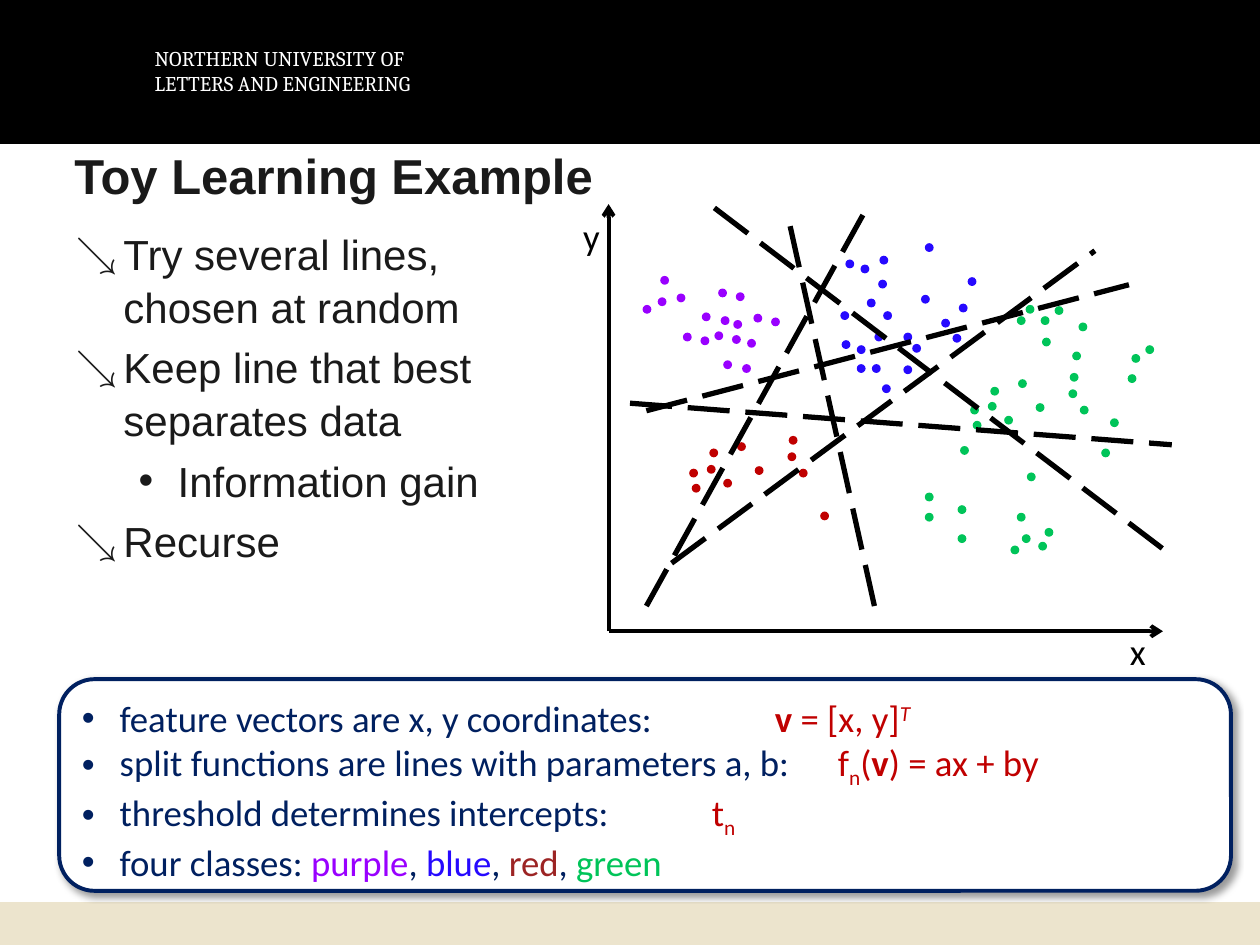
from pptx import Presentation
from pptx.dml.color import RGBColor
from pptx.enum.dml import MSO_LINE
from pptx.enum.shapes import MSO_CONNECTOR, MSO_SHAPE
from pptx.enum.text import MSO_ANCHOR, PP_ALIGN
from pptx.oxml import parse_xml
from pptx.oxml.ns import nsdecls, qn
from pptx.util import Inches, Pt

BLACK = RGBColor(0x00, 0x00, 0x00)
WHITE = RGBColor(0xFF, 0xFF, 0xFF)
SAND = RGBColor(0xEC, 0xE4, 0xCD)
INK = RGBColor(0x1A, 0x1A, 0x1A)
NAVY = RGBColor(0x00, 0x20, 0x60)
CRIMSON = RGBColor(0xC0, 0x00, 0x00)
BRICK = RGBColor(0x9C, 0x24, 0x24)
PURPLE = RGBColor(0x99, 0x00, 0xFF)
BLUE = RGBColor(0x26, 0x09, 0xFF)
GREEN = RGBColor(0x00, 0xC4, 0x59)

TITLE = "Toy Learning Example"
SCHOOL = ["NORTHERN UNIVERSITY OF", "LETTERS AND ENGINEERING"]
STEPS = [
    ("Try several lines, chosen at random", 0),
    ("Keep line that best separates data", 0),
    ("Information gain", 1),
    ("Recurse", 0),
]
STEP_STYLES = [("↘", 0.38, 0.38), ("•", 0.81, 0.31)]
FACTS = [
    [("feature vectors are x, y coordinates:\t\t", NAVY, ""), ("v ", CRIMSON, "bold"),
     ("= [x, y]", CRIMSON, ""), ("T", CRIMSON, "super")],
    [("split functions are lines with parameters a, b:\t", NAVY, ""), ("f", CRIMSON, ""),
     ("n", CRIMSON, "sub"), ("(", CRIMSON, ""), ("v", CRIMSON, "bold"),
     (") = ax + by", CRIMSON, "")],
    [("threshold determines intercepts:\t\t", NAVY, ""), ("t", CRIMSON, ""),
     ("n", CRIMSON, "sub")],
    [("four classes: ", NAVY, ""), ("purple", PURPLE, ""), (", ", NAVY, ""),
     ("blue", BLUE, ""), (", ", NAVY, ""), ("red", BRICK, ""), (", ", NAVY, ""),
     ("green", GREEN, "")],
]
DOT_SIZE = 0.07
CLASSES = [
    (PURPLE, [
        (5.1, 2.42), (5.42, 2.64), (5.82, 2.54), (5.67, 2.63), (5.7, 2.29), (5.57, 2.48),
        (5.74, 2.86), (5.98, 2.49), (5.24, 2.19), (5.22, 2.36), (5.56, 2.67), (5.93, 2.69),
        (5.81, 2.66), (5.84, 2.32), (5.72, 2.51), (5.89, 2.89), (6.12, 2.52), (5.37, 2.33)]),
    (BLUE, [
        (6.71, 2.06), (6.67, 2.47), (7.61, 2.41), (7.17, 2.64), (7.34, 1.93), (7.01, 2.47),
        (6.92, 2.89), (7.47, 2.53), (6.98, 2.03), (6.83, 2.1), (6.88, 2.37), (7.17, 2.9),
        (7.24, 2.73), (7.68, 2.2), (7.31, 2.34), (7, 3.05), (7.56, 2.65), (6.97, 2.22),
        (6.68, 2.7), (6.94, 2.64), (6.8, 2.74), (6.8, 2.89)]),
    (CRIMSON, [
        (6.26, 3.46), (5.85, 3.51), (6.51, 4.06), (5.49, 3.84), (6.34, 3.72), (6.25, 3.59),
        (5.99, 3.7), (5.63, 3.56), (5.74, 3.8), (5.61, 3.69), (5.47, 3.72)]),
    (GREEN, [
        (8.15, 3.75), (7.6, 4.24), (7.62, 3.54), (8.29, 4.19), (7.34, 3.91), (7.34, 4.07),
        (7.6, 4.01), (8.02, 4.33), (8.07, 4.07), (8.11, 4.24), (8.24, 4.3), (8.49, 2.96),
        (8.08, 3.01), (8.74, 3.56), (7.72, 3.34), (8.57, 3.22), (8.48, 3.09), (8.22, 3.2),
        (7.86, 3.07), (7.97, 3.3), (7.84, 3.19), (7.7, 3.22), (9.09, 2.74), (8.56, 2.56),
        (8.81, 3.32), (8.07, 2.51), (8.95, 2.97), (8.98, 2.81), (8.51, 2.79), (8.37, 2.43),
        (8.27, 2.68), (8.26, 2.51), (8.14, 2.42)]),
]
ORIGIN = (4.83, 5.01)
AXIS_ENDS = [(9.23, 5.01), (4.83, 1.62)]
AXIS_LABELS = [("x", (8.87, 4.94, 0.33, 0.45)), ("y", (4.53, 1.65, 0.34, 0.45))]
SPLITS = [
    ((5.67, 1.65), (9.3, 4.41)),
    ((5.13, 3.26), (8.96, 2.26)),
    ((5.33, 4.47), (8.69, 1.99)),
    ((5.13, 4.81), (6.88, 1.65)),
    ((5, 3.2), (9.3, 3.53)),
    ((6.94, 4.81), (6.27, 1.79)),
]


def place(part, left, top, width, height):
    part.left, part.top = Inches(left), Inches(top)
    part.width, part.height = Inches(width), Inches(height)


def add_filled(shapes, kind, box, color):
    shape = shapes.add_shape(kind, *map(Inches, box))
    shape.shadow.inherit = False
    shape.fill.solid()
    shape.fill.fore_color.rgb = color
    shape.line.fill.background()
    return shape


def add_run(paragraph, text, font, size, color):
    run = paragraph.add_run()
    run.text = text
    run.font.name, run.font.size = font, Pt(size)
    run.font.color.rgb = color
    return run


def set_bullet(paragraph, char, margin, hang):
    props = paragraph._p.get_or_add_pPr()
    props.set("marL", str(Inches(margin)))
    props.set("indent", str(-Inches(hang)))
    props.append(parse_xml(f'<a:buFont {nsdecls("a")} typeface="Arial"/>'))
    props.append(parse_xml(f'<a:buChar {nsdecls("a")} char="{char}"/>'))


def add_label(shapes, lines, box, font, size, color):
    frame = shapes.add_textbox(*map(Inches, box)).text_frame
    frame.word_wrap = False
    for index, line in enumerate(lines):
        paragraph = frame.add_paragraph() if index else frame.paragraphs[0]
        add_run(paragraph, line, font, size, color)


def add_line(shapes, start, end, width):
    line = shapes.add_connector(MSO_CONNECTOR.STRAIGHT, *map(Inches, start + end))
    line.line.color.rgb = BLACK
    line.line.width = Pt(width)
    line.element.spPr.append(parse_xml(f'<a:effectLst {nsdecls("a")}/>'))
    return line


prs = Presentation()
prs.slide_width, prs.slide_height = Inches(10), Inches(7.5)
slide = prs.slides.add_slide(prs.slide_layouts[1])

add_filled(slide.shapes, MSO_SHAPE.RECTANGLE, (0, 7.16, 10, 0.34), SAND)
header = add_filled(slide.shapes, MSO_SHAPE.RECTANGLE, (0, 0, 10, 1.13), BLACK)
header.line.color.rgb = BLACK
header.line.width = Pt(2)
add_label(slide.shapes, SCHOOL, (1.13, 0.31, 2.64, 0.5), "Cambria", 12, WHITE)

title = slide.shapes.title
place(title, 0.49, 1.15, 9, 0.47)
title.text_frame.vertical_anchor = MSO_ANCHOR.MIDDLE
heading = title.text_frame.paragraphs[0]
heading.alignment = PP_ALIGN.LEFT
add_run(heading, TITLE, "Arial", 28, INK).font.bold = True

steps = slide.placeholders[1]
place(steps, 0.5, 1.75, 3.95, 5.33)
for index, (text, level) in enumerate(STEPS):
    step = steps.text_frame.add_paragraph() if index else steps.text_frame.paragraphs[0]
    step.level = level
    step.space_before = Pt(4.8)
    step.line_spacing = 1.04
    set_bullet(step, *STEP_STYLES[level])
    add_run(step, text, "Arial", 24, INK)

panel = add_filled(slide.shapes, MSO_SHAPE.ROUNDED_RECTANGLE, (0.47, 5.39, 9.3, 1.68), WHITE)
panel.line.color.rgb = NAVY
panel.line.width = Pt(2.25)
panel.element.spPr.find(qn("a:effectLst")).append(parse_xml(
    f'<a:outerShdw {nsdecls("a")} blurRad="{Pt(4)}" dist="{Pt(3)}" dir="2700000">'
    '<a:srgbClr val="000000"><a:alpha val="40000"/></a:srgbClr></a:outerShdw>'))
panel.text_frame.vertical_anchor = MSO_ANCHOR.TOP
for index, pieces in enumerate(FACTS):
    fact = panel.text_frame.add_paragraph() if index else panel.text_frame.paragraphs[0]
    fact.alignment = PP_ALIGN.LEFT
    set_bullet(fact, "•", 0.3, 0.3)
    for text, color, style in pieces:
        font = add_run(fact, text, "Calibri", 21, color).font
        if style == "bold":
            font.bold = True
        elif style == "super":
            font.italic = True
            font._element.set("baseline", "30000")
        elif style == "sub":
            font._element.set("baseline", "-25000")

plot = slide.shapes.add_group_shape().shapes
for color, dots in CLASSES:
    for left, top in dots:
        add_filled(plot, MSO_SHAPE.OVAL, (left, top, DOT_SIZE, DOT_SIZE), color)
for end in AXIS_ENDS:
    axis = add_line(plot, ORIGIN, end, 2.25)
    axis.element.spPr.find(qn("a:ln")).append(
        parse_xml(f'<a:tailEnd {nsdecls("a")} type="arrow"/>'))
for name, box in AXIS_LABELS:
    add_label(plot, [name], box, "Calibri", 21, BLACK)
for start, end in SPLITS:
    add_line(plot, start, end, 3).line.dash_style = MSO_LINE.LONG_DASH

prs.save("out.pptx")
